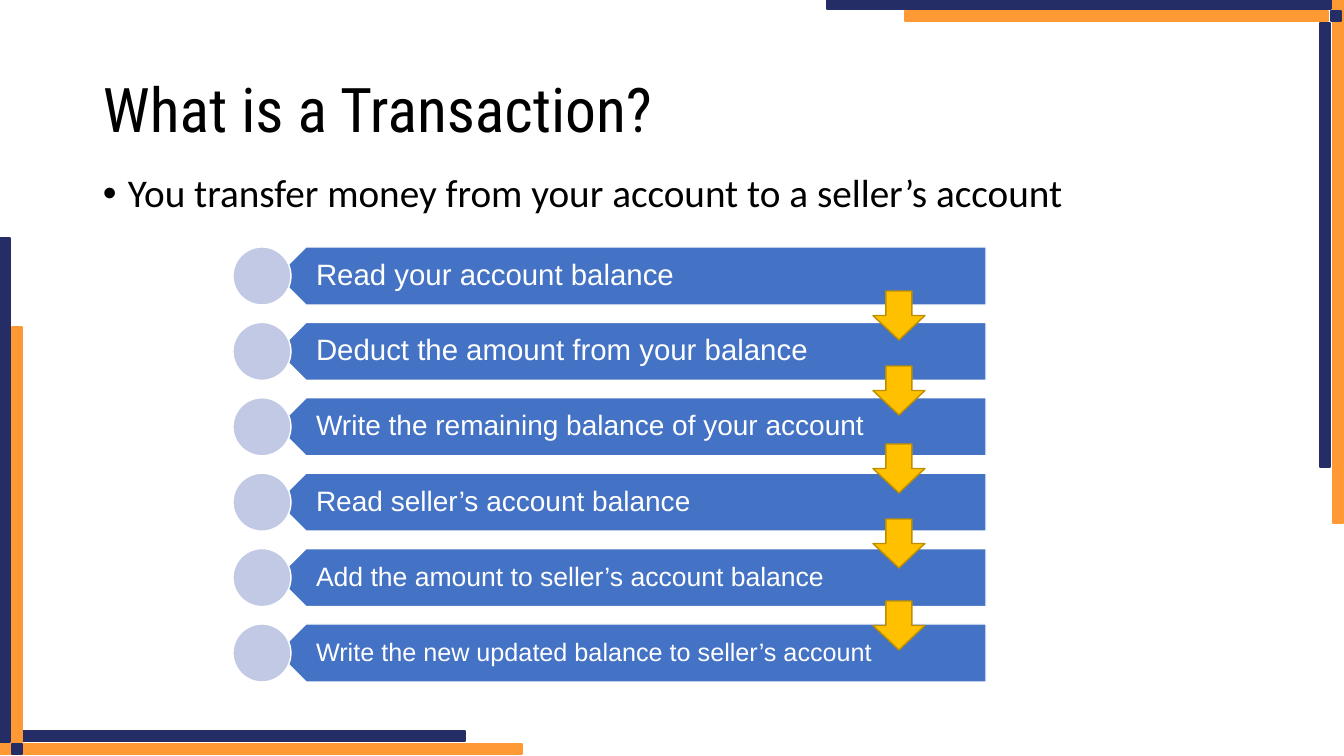
from lxml.etree import SubElement
from pptx import Presentation
from pptx.dml.color import RGBColor
from pptx.enum.shapes import MSO_SHAPE
from pptx.enum.text import MSO_ANCHOR, MSO_AUTO_SIZE, PP_ALIGN
from pptx.oxml.ns import qn
from pptx.util import Pt

SCALE = 914400 / 100.8  # EMU per pixel
COLORS = {"navy": "242D66", "orange": "FF9933", "blue": "4472C4", "pale": "C1C9E4",
          "gold": "FFC000", "dark_gold": "BD8E00", "white": "FFFFFF", "black": "000000"}

TITLE = "What is a Transaction?"
BULLET = "You transfer money from your account to a seller’s account"
STEPS = [  # wording, text size
    ("Read your account balance", 21),
    ("Deduct the amount from your balance", 21),
    ("Write the remaining balance of your account", 20),
    ("Read seller’s account balance", 20),
    ("Add the amount to seller’s account balance", 19),
    ("Write the new updated balance to seller’s account", 18),
]
ARROW_TOPS = [291, 366, 444, 519, 601]
FRAME_BARS = [  # colour, left, top, width, height
    ("orange", 1333, -1, 10, 524),
    ("navy", 1320, 23, 10, 444),
    ("navy", 827, -1, 504, 10),
    ("orange", 905, 11, 423, 10),
    ("navy", 1331, 11, 10, 10),
    ("orange", -2, 744, 524, 10),
    ("navy", 21, 731, 444, 10),
    ("navy", 0, 238, 10, 504),
    ("orange", 12, 327, 10, 423),
    ("navy", 12, 744, 10, 10),
]
FIRST_TOP, LAST_TOP, STEP_HEIGHT = 247, 624, 58
CIRCLE_LEFT, BAR_LEFT, BAR_RIGHT = 233, 277, 986


def emu(pixels):
    """Turn pixels into EMU."""
    return round(pixels * SCALE)


def color(name):
    """Look up a named colour."""
    return RGBColor.from_string(COLORS[name])


def place(box, left, top, width, height):
    """Move and size a box, in pixels."""
    box.left, box.top, box.width, box.height = map(emu, (left, top, width, height))


def add_figure(kind, area, fill, line, rotation=0):
    """Add a filled preset shape with a one-point outline."""
    figure = page.shapes.add_shape(kind, *map(emu, area))
    figure.shadow.inherit = False
    figure.fill.solid()
    figure.fill.fore_color.rgb = color(fill)
    figure.line.color.rgb = color(line)
    figure.line.width = Pt(1)
    figure.rotation = rotation
    return figure


def write(box, text, size, font, ink="black", anchor=MSO_ANCHOR.MIDDLE,
          margins=(10, 5, 10, 5), before=0):
    """Put one left-aligned paragraph in a box and return it."""
    frame = box.text_frame
    frame.word_wrap = True
    frame.auto_size = MSO_AUTO_SIZE.NONE
    frame.vertical_anchor = anchor
    (frame.margin_left, frame.margin_top,
     frame.margin_right, frame.margin_bottom) = map(emu, margins)
    para = frame.paragraphs[0]
    para.alignment = PP_ALIGN.LEFT
    para.line_spacing = 0.9
    para.space_before = Pt(before)
    span = para.add_run()
    span.text = text
    span.font.size = Pt(size)
    span.font.name = font
    span.font.color.rgb = color(ink)
    return para


def add_bullet(para, indent):
    """Give a paragraph a round bullet with a hanging indent in pixels."""
    properties = para._p.get_or_add_pPr()
    properties.set("marL", str(emu(indent)))
    properties.set("indent", str(-emu(indent)))
    SubElement(properties, qn("a:buFont")).set("typeface", "Arial")
    SubElement(properties, qn("a:buChar")).set("char", "•")


def add_step(top, text, size):
    """Draw one step: pointed bar, its wording and the circle."""
    width = BAR_RIGHT - BAR_LEFT
    add_figure(MSO_SHAPE.PENTAGON, (BAR_LEFT, top, width, STEP_HEIGHT),
               "blue", "white", rotation=180)
    text_left = CIRCLE_LEFT + STEP_HEIGHT
    label = page.shapes.add_textbox(
        *map(emu, (text_left, top, BAR_RIGHT - text_left, STEP_HEIGHT)))
    write(label, text, size, "Arial", ink="white", margins=(25, 8, 16, 8))
    add_figure(MSO_SHAPE.OVAL, (CIRCLE_LEFT, top, STEP_HEIGHT, STEP_HEIGHT),
               "pale", "white")


deck = Presentation()
deck.slide_width, deck.slide_height = emu(1344), emu(756)
page = deck.slides.add_slide(deck.slide_layouts[1])

for shade, *area in FRAME_BARS:
    add_figure(MSO_SHAPE.RECTANGLE, area, shade, shade)

title, body = page.placeholders
place(title, 93, 40, 1159, 146)
write(title, TITLE, 44, "Roboto Condensed")
place(body, 93, 169, 1175, 536)
add_bullet(write(body, BULLET, 28, "Calibri", anchor=MSO_ANCHOR.TOP, before=10), 25)

pitch = (LAST_TOP - FIRST_TOP) / (len(STEPS) - 1)
for index, (text, size) in enumerate(STEPS):
    add_step(FIRST_TOP + index * pitch, text, size)
for top in ARROW_TOPS:
    add_figure(MSO_SHAPE.DOWN_ARROW, (873, top, 52, 49), "gold", "dark_gold")

deck.save("out.pptx")
